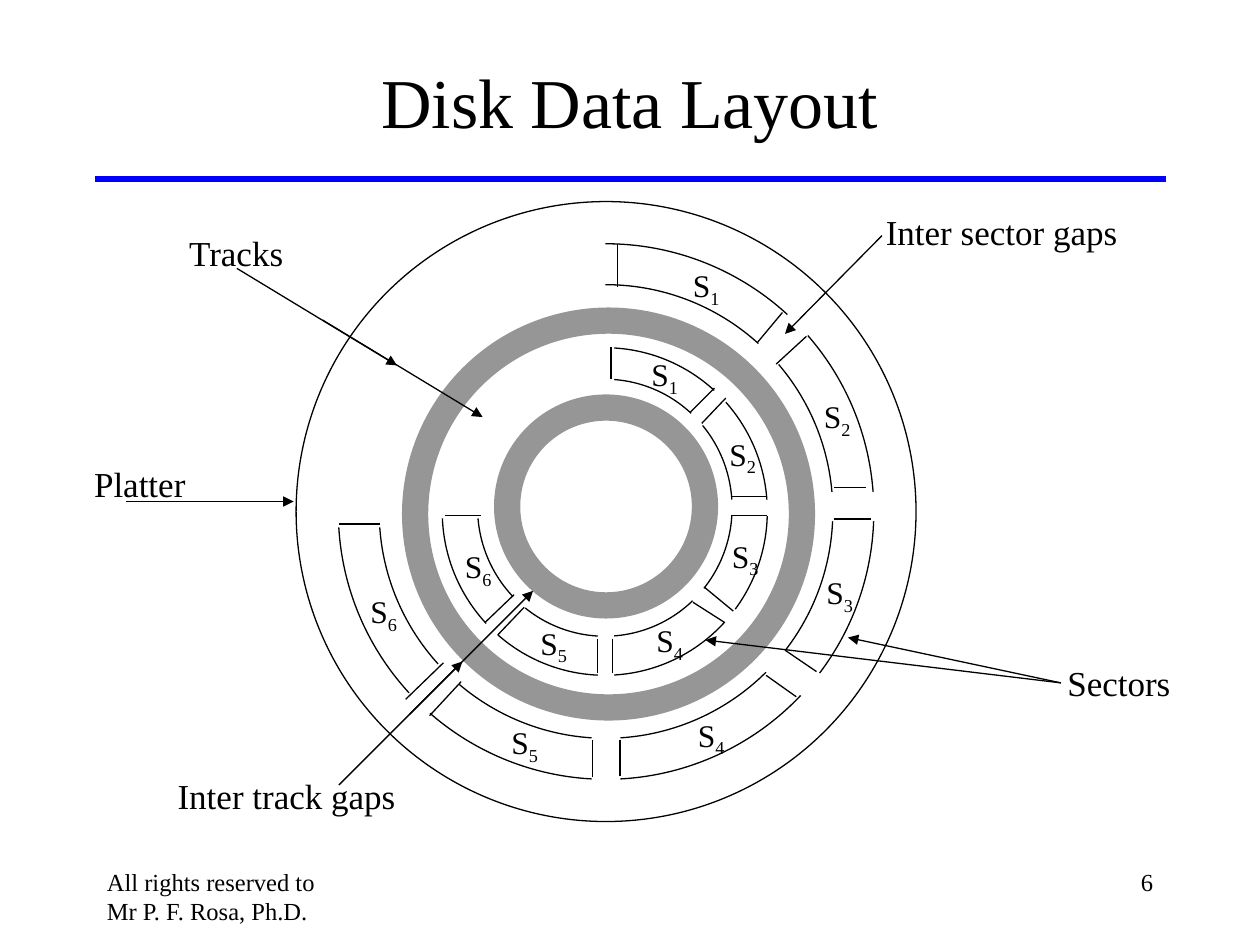
from dataclasses import dataclass

from lxml.etree import SubElement
from pptx import Presentation
from pptx.dml.color import RGBColor
from pptx.enum.shapes import MSO_CONNECTOR, MSO_SHAPE
from pptx.enum.text import MSO_ANCHOR, MSO_AUTO_SIZE, PP_ALIGN
from pptx.oxml.ns import qn
from pptx.util import Cm, Length, Pt

COLORS = {"ink": "000000", "paper": "FFFFFF", "rule": "0000FF", "gap": "969696"}
FONT = "Times New Roman"
CM_PER_INCH = 2.54
LABEL_HEIGHT = 0.44
SECTOR_LABEL_WIDTH = 0.41


@dataclass(frozen=True)
class Oval:
    cx: float
    cy: float
    width: float
    height: float
    color: str = "ink"
    weight: float = 0.75


@dataclass(frozen=True)
class Notch:
    cx: float
    cy: float
    angle: float


@dataclass(frozen=True)
class Stroke:
    x1: float
    y1: float
    x2: float
    y2: float


@dataclass(frozen=True)
class Label:
    text: str
    left: float
    top: float
    width: float


@dataclass(frozen=True)
class Track:
    edges: list[Oval]
    notch_size: tuple[float, float]
    notches: list[Notch]
    sector_ends: list[Stroke]
    sector_labels: list[tuple[float, float]]


OUTER_TRACK = Track(
    [Oval(4.81, 4.06, 3.6, 3.6), Oval(4.81, 4.06, 4.25, 4.25)],
    (0.23, 0.7),
    [Notch(6.87, 4.02, 270), Notch(6.3, 2.61, 45.1), Notch(6.4, 5.41, 303.7),
     Notch(4.81, 6.11, 0), Notch(2.73, 4.07, 270), Notch(3.38, 5.53, 45.1)],
    [Stroke(4.92, 5.87, 4.92, 6.16), Stroke(4.9, 1.94, 4.9, 2.28),
     Stroke(4.7, 5.87, 4.7, 6.17), Stroke(2.69, 4.16, 3.02, 4.16),
     Stroke(3.22, 5.55, 3.52, 5.26), Stroke(3.41, 5.68, 3.66, 5.41),
     Stroke(6.08, 5.36, 6.32, 5.53), Stroke(6.23, 5.16, 6.48, 5.33),
     Stroke(6.62, 4.12, 6.91, 4.12), Stroke(6.62, 3.87, 6.87, 3.87),
     Stroke(6.16, 2.89, 6.4, 2.67), Stroke(6.01, 2.72, 6.21, 2.48)],
    [(5.4, 2.06), (6.44, 3.1), (6.46, 4.5), (5.44, 5.63), (3.96, 5.69), (2.84, 4.65)],
)
INNER_TRACK = Track(
    [Oval(4.8, 4.03, 2.02, 2.04), Oval(4.8, 4.06, 2.58, 2.6)],
    (0.13, 0.39),
    [Notch(4.81, 2.87, 0), Notch(5.94, 4.03, 270), Notch(5.63, 3.23, 45.1),
     Notch(5.68, 4.81, 303.7), Notch(4.81, 5.21, 0), Notch(3.65, 4.05, 270),
     Notch(4.02, 4.88, 45.1)],
    [Stroke(4.86, 5.07, 4.86, 5.34), Stroke(4.85, 2.75, 4.85, 3.01),
     Stroke(4.74, 5.07, 4.74, 5.34), Stroke(3.53, 4.09, 3.82, 4.09),
     Stroke(3.85, 4.94, 4.08, 4.72), Stroke(3.95, 5.04, 4.16, 4.82),
     Stroke(5.5, 4.78, 5.75, 4.94), Stroke(5.59, 4.66, 5.82, 4.85),
     Stroke(5.8, 4.09, 6.09, 4.09), Stroke(5.8, 3.94, 6.08, 3.94),
     Stroke(5.57, 3.36, 5.76, 3.16), Stroke(5.48, 3.27, 5.67, 3.08)],
    [(5.07, 2.77), (5.69, 3.4), (5.71, 4.21), (5.11, 4.88), (4.19, 4.9), (3.59, 4.29)],
)
TRACKS = [OUTER_TRACK, INNER_TRACK]
TRACK_GAPS = [Oval(4.81, 4.02, 1.57, 1.57, "gap", 15), Oval(4.83, 4.08, 3.07, 3.07, "gap", 15)]
PLATTER = Oval(4.81, 4.06, 4.92, 4.92)
POINTERS = [
    Stroke(8.42, 5.42, 6.73, 5.06), Stroke(8.42, 5.42, 5.6, 5.08),
    Stroke(2.69, 6.23, 3.67, 5.25), Stroke(3.25, 5.67, 4.23, 4.69),
    Stroke(1.88, 2.13, 3.15, 2.9), Stroke(2.56, 2.54, 3.83, 3.31),
    Stroke(7, 1.87, 6.23, 2.65), Stroke(1, 3.98, 2.33, 3.98),
]
CALLOUTS = [
    Label("Sectors", 8.37, 5.2, 1.02), Label("Inter track gaps", 1.31, 6.1, 1.93),
    Label("Tracks", 1.4, 1.79, 0.95), Label("Inter sector gaps", 6.93, 1.62, 2.04),
    Label("Platter", 0.61, 3.62, 1),
]


def inches(value: float) -> Length:
    return Cm(value * CM_PER_INCH)


def rgb(name: str) -> RGBColor:
    return RGBColor.from_string(COLORS[name])


def draw_oval(slide, oval: Oval) -> None:
    ring = slide.shapes.add_shape(
        MSO_SHAPE.OVAL, inches(oval.cx - oval.width / 2), inches(oval.cy - oval.height / 2),
        inches(oval.width), inches(oval.height))
    ring.shadow.inherit = False
    ring.fill.background()
    ring.line.color.rgb = rgb(oval.color)
    ring.line.width = Pt(oval.weight)


def draw_blank(slide, cx: float, cy: float, width: float, height: float, angle: float = 0) -> None:
    blank = slide.shapes.add_shape(
        MSO_SHAPE.RECTANGLE, inches(cx - width / 2), inches(cy - height / 2),
        inches(width), inches(height))
    blank.shadow.inherit = False
    blank.fill.solid()
    blank.fill.fore_color.rgb = rgb("paper")
    blank.line.fill.background()
    blank.rotation = angle


def draw_stroke(slide, stroke: Stroke, color: str = "ink", weight: float = 0.75,
                arrow: bool = False) -> None:
    line = slide.shapes.add_connector(
        MSO_CONNECTOR.STRAIGHT, inches(stroke.x1), inches(stroke.y1),
        inches(stroke.x2), inches(stroke.y2))
    line.line.color.rgb = rgb(color)
    line.line.width = Pt(weight)
    if arrow:
        SubElement(line.get_or_add_ln(), qn("a:tailEnd"), type="triangle")
    SubElement(line._element.spPr, qn("a:effectLst"))


def draw_text(slide, label: Label, height: float, size: float, align: PP_ALIGN,
              wrap: bool = False, subscript: str = "", anchor: MSO_ANCHOR = MSO_ANCHOR.TOP) -> None:
    box = slide.shapes.add_textbox(
        inches(label.left), inches(label.top), inches(label.width), inches(height))
    frame = box.text_frame
    frame.word_wrap = wrap
    frame.auto_size = MSO_AUTO_SIZE.NONE if wrap else MSO_AUTO_SIZE.SHAPE_TO_FIT_TEXT
    frame.vertical_anchor = anchor
    paragraph = frame.paragraphs[0]
    paragraph.alignment = align
    for text, baseline in ((label.text, 0), (subscript, -25000)):
        if text:
            run = paragraph.add_run()
            run.text = text
            run.font.name = FONT
            run.font.size = Pt(size)
            run.font.color.rgb = rgb("ink")
            if baseline:
                run._r.get_or_add_rPr().set("baseline", str(baseline))


def draw_track(slide, track: Track) -> None:
    for edge in track.edges:
        draw_oval(slide, edge)
    for notch in track.notches:
        draw_blank(slide, notch.cx, notch.cy, *track.notch_size, notch.angle)
    for end in track.sector_ends:
        draw_stroke(slide, end)


def main() -> None:
    deck = Presentation()
    deck.slide_width, deck.slide_height = inches(10), inches(7.5)
    slide = deck.slides.add_slide(deck.slide_layouts[6])

    draw_stroke(slide, Stroke(0.75, 1.42, 9.25, 1.42), "rule", 3)
    draw_text(slide, Label("All rights reserved to Mr P. F. Rosa, Ph.D.", 0.75, 6.83, 2.08),
              0.5, 14, PP_ALIGN.LEFT, wrap=True)
    draw_text(slide, Label("6", 7.17, 6.83, 2.08), 0.5, 14, PP_ALIGN.RIGHT, wrap=True)
    draw_text(slide, Label("Disk Data Layout", 0.75, 0.17, 8.5), 1.25, 40, PP_ALIGN.CENTER,
              wrap=True, anchor=MSO_ANCHOR.MIDDLE)

    for track in TRACKS:
        draw_track(slide, track)
    draw_blank(slide, 3.6, 2.87, 2.41, 2.27)
    for gap in TRACK_GAPS:
        draw_oval(slide, gap)
    for track in TRACKS:
        for number, (left, top) in enumerate(track.sector_labels, start=1):
            draw_text(slide, Label("S", left, top, SECTOR_LABEL_WIDTH), LABEL_HEIGHT, 18,
                      PP_ALIGN.CENTER, subscript=str(number))
    draw_oval(slide, PLATTER)
    for pointer in POINTERS:
        draw_stroke(slide, pointer, arrow=True)
    for callout in CALLOUTS:
        draw_text(slide, callout, LABEL_HEIGHT, 20, PP_ALIGN.CENTER)

    deck.save("out.pptx")


if __name__ == "__main__":
    main()
